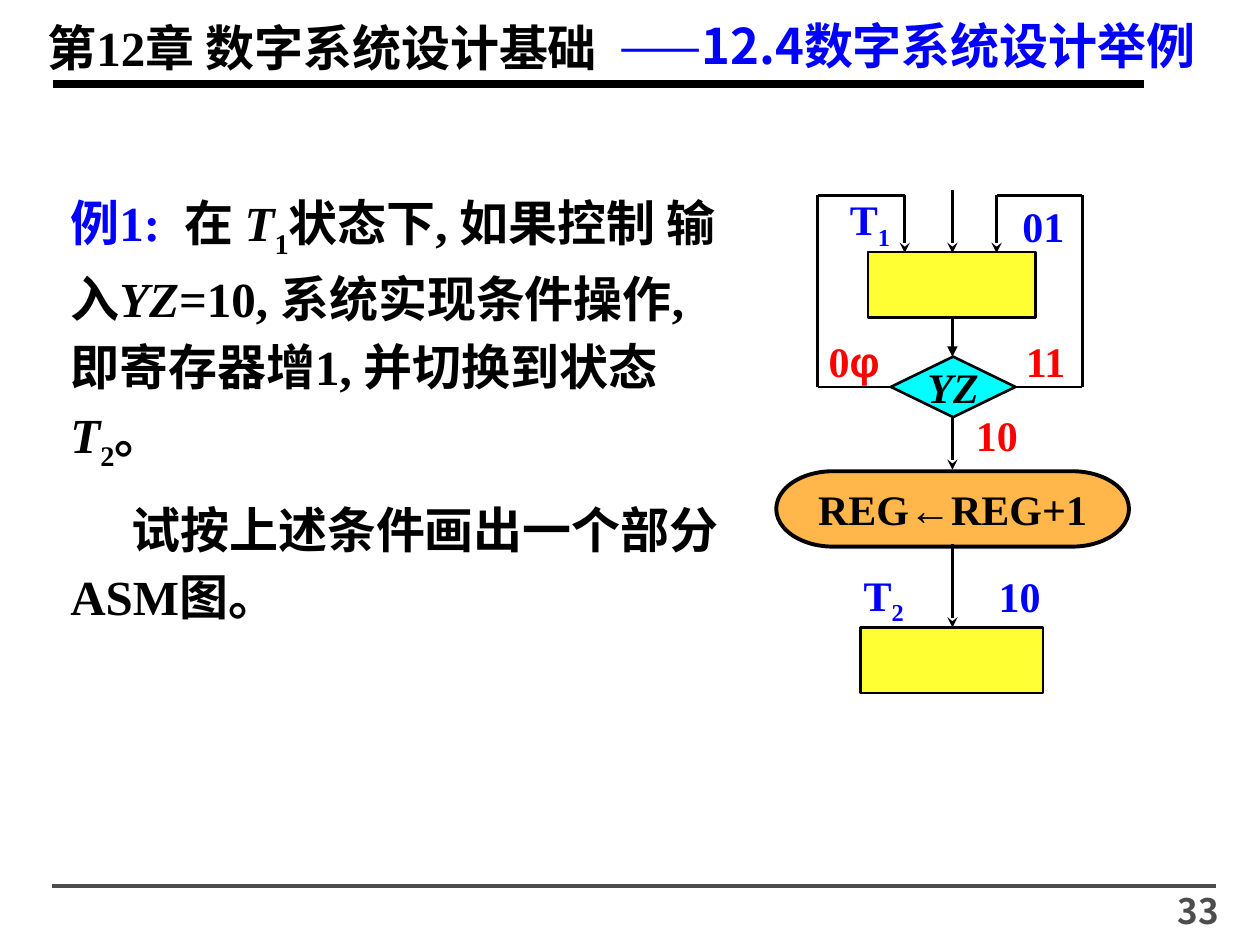
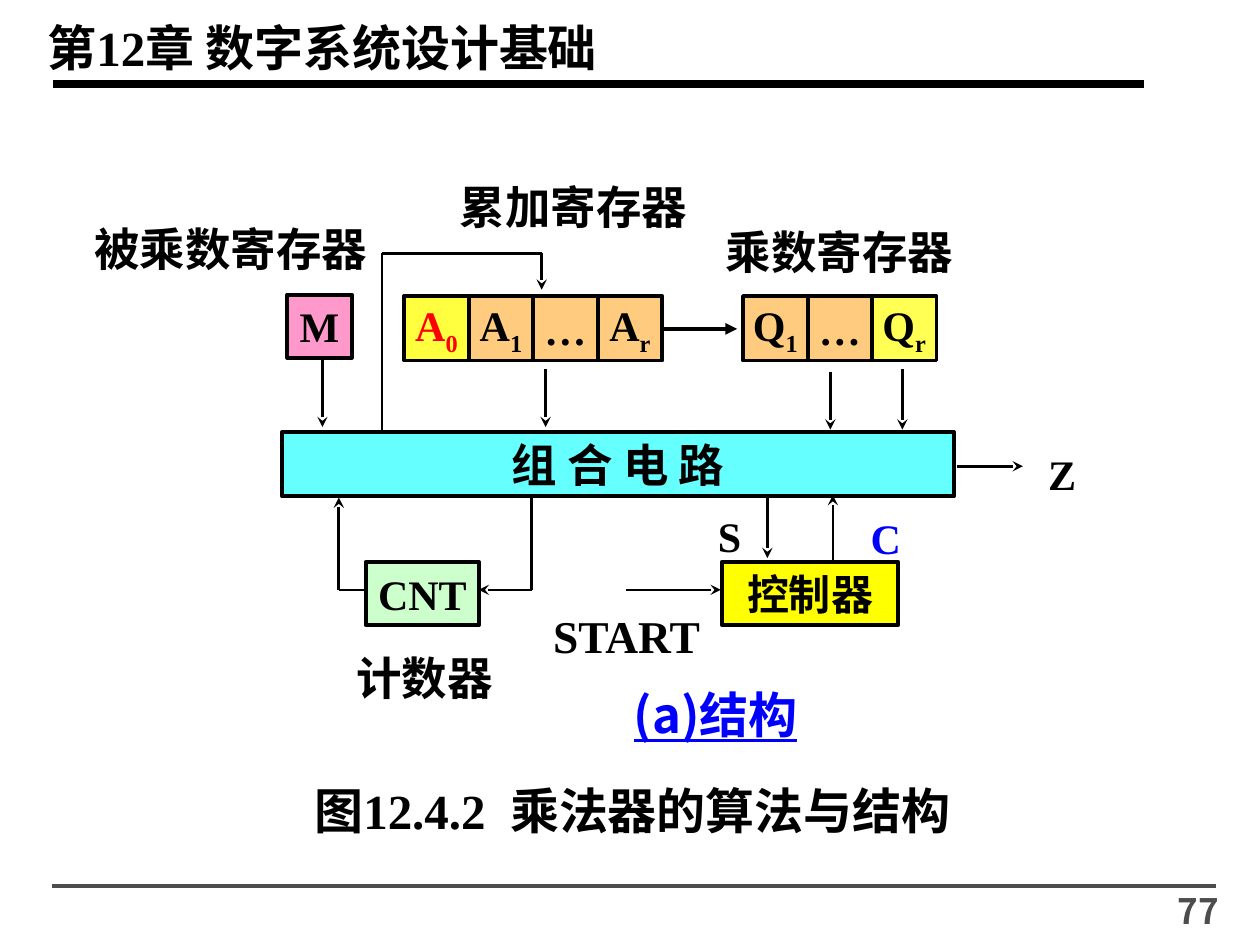
from dataclasses import dataclass, replace
from itertools import pairwise

from lxml import etree
from pptx import Presentation
from pptx.dml.color import RGBColor
from pptx.enum.shapes import MSO_CONNECTOR, MSO_SHAPE
from pptx.enum.text import MSO_ANCHOR, PP_ALIGN
from pptx.oxml.ns import qn
from pptx.slide import Slide
from pptx.text.text import TextFrame
from pptx.util import Cm, Pt

LEFT, MID, RIGHT = PP_ALIGN.LEFT, PP_ALIGN.CENTER, PP_ALIGN.RIGHT
CENTER = MSO_ANCHOR.MIDDLE
LINE = MSO_CONNECTOR.STRAIGHT
RECT, DIAMOND = MSO_SHAPE.RECTANGLE, MSO_SHAPE.DIAMOND
PILL = MSO_SHAPE.FLOWCHART_TERMINATOR


@dataclass(frozen=True)
class Theme:
    black: str = "000000"
    blue: str = "0000FF"
    red: str = "FF0000"
    gray: str = "4D4D4D"
    yellow: str = "FFFF00"
    orange: str = "FF9900"
    cyan: str = "00FFFF"
    aqua: str = "66FFFF"
    pink: str = "FF99CC"
    mint: str = "CCFFCC"
    serif: str = "Times New Roman"
    sans: str = "Noto Sans CJK SC"
    greek: str = "Arial"
    head: int = 28
    name: int = 26
    mark: int = 24
    page: int = 20
    thin: float = 1.5
    thick: float = 2.25


THEME = Theme()


@dataclass(frozen=True)
class Run:
    text: str
    size: int = THEME.mark
    color: str = THEME.black
    face: str = THEME.serif
    bold: bool = True
    slant: bool = False
    under: bool = False
    low: bool = False
    gap: int = 0


@dataclass(frozen=True)
class Label:
    x: float
    y: float
    w: float
    h: float
    runs: tuple[Run, ...]
    align: PP_ALIGN = LEFT


@dataclass(frozen=True)
class Node:
    x: float
    y: float
    w: float
    h: float
    fill: str
    runs: tuple[Run, ...] = ()
    alpha: int = 100
    kind: MSO_SHAPE = RECT
    edge: float = THEME.thick


@dataclass(frozen=True)
class Wire:
    dots: tuple[tuple[float, float], ...]
    tip: str = "stealth"
    width: float = THEME.thin
    color: str = THEME.black


def sub(base: str, low: str, color: str = THEME.black) -> tuple[Run, ...]:
    run = Run(base, color=color)
    return run, replace(run, text=low, low=True)


def write(frame: TextFrame, runs: tuple[Run, ...], align: PP_ALIGN, more: bool = False):
    para = frame.add_paragraph() if more else frame.paragraphs[0]
    para.alignment = align
    for item in runs:
        run = para.add_run()
        run.text = item.text
        font = run.font
        font.size, font.name = Pt(item.size), item.face
        font.bold, font.italic, font.underline = item.bold, item.slant, item.under
        font.color.rgb = RGBColor.from_string(item.color)
        props = font._element
        etree.SubElement(props, qn("a:ea")).set("typeface", THEME.sans)
        if item.low:
            props.set("baseline", "-25000")
        if item.gap:
            props.set("spc", str(item.gap * 100))
    return para


def put_label(slide: Slide, label: Label) -> TextFrame:
    box = slide.shapes.add_textbox(Cm(label.x), Cm(label.y), Cm(label.w), Cm(label.h))
    frame = box.text_frame
    frame.word_wrap = True
    write(frame, label.runs, label.align)
    return frame


def put_node(slide: Slide, node: Node) -> None:
    shape = slide.shapes.add_shape(node.kind, Cm(node.x), Cm(node.y), Cm(node.w), Cm(node.h))
    shape.shadow.inherit = False
    shape.fill.solid()
    shape.fill.fore_color.rgb = RGBColor.from_string(node.fill)
    if node.alpha < 100:
        color = shape._element.spPr.find(qn("a:solidFill"))[0]
        etree.SubElement(color, qn("a:alpha")).set("val", str(node.alpha * 1000))
    shape.line.color.rgb = RGBColor.from_string(THEME.black)
    shape.line.width = Pt(node.edge)
    if node.runs:
        frame = shape.text_frame
        frame.word_wrap = False
        frame.vertical_anchor = CENTER
        write(frame, node.runs, MID)


def put_wire(slide: Slide, wire: Wire) -> None:
    for start, end in pairwise(wire.dots):
        line = slide.shapes.add_connector(LINE, *map(Cm, start + end))
        line.line.color.rgb = RGBColor.from_string(wire.color)
        line.line.width = Pt(wire.width)
        props = line._element.spPr
        if wire.tip and end == wire.dots[-1]:
            etree.SubElement(props.find(qn("a:ln")), qn("a:tailEnd")).set("type", wire.tip)
        etree.SubElement(props, qn("a:effectLst"))


def draw(slide: Slide, nodes: list[Node], wires: list[Wire], labels: list[Label]) -> None:
    for node in nodes:
        put_node(slide, node)
    for wire in wires:
        put_wire(slide, wire)
    for label in labels:
        put_label(slide, label)


def add_page(deck: Presentation, page: str) -> Slide:
    slide = deck.slides.add_slide(deck.slide_layouts[6])
    rules = [
        Wire(((1.07, 1.7), (23.06, 1.7)), "", 4.5),
        Wire(((1.04, 17.86), (24.51, 17.86)), "", 2, THEME.gray),
    ]
    labels = [
        Label(0.71, 0.23, 15.85, 1.45, (Run("第12章 数字系统设计基础", THEME.head),)),
        Label(21.29, 17.81, 3.53, 0.99, (Run(page, THEME.page, THEME.gray, THEME.sans),), RIGHT),
    ]
    draw(slide, [], rules, labels)
    return slide


def add_task(slide: Slide) -> None:
    body = Run("", THEME.head)
    var = replace(body, slant=True)
    low = replace(body, low=True)
    first = (
        replace(body, text="例1:", color=THEME.blue),
        replace(body, text=" ", gap=7),
        replace(body, text="在 "),
        replace(var, text="T"),
        replace(low, text="1"),
        replace(body, text="状态下, 如果控制 输入"),
        replace(var, text="YZ"),
        replace(body, text="=10, 系统实现条件操作, 即寄存器增1, 并切换到状态 "),
        replace(var, text="T"),
        replace(low, text="2"),
        replace(body, text="。"),
    )
    frame = put_label(slide, Label(1.17, 3.56, 13.79, 9.19, first))
    last = write(frame, (replace(body, text="试按上述条件画出一个部分ASM图。"),), LEFT, True)
    last.space_before = Pt(10.5)
    last._p.get_or_add_pPr().set("indent", str(Cm(1.23)))
    for para in frame.paragraphs:
        para.line_spacing = 1.15


def add_flow(slide: Slide) -> None:
    axis, turn = 19.2, 7.8
    nodes = [
        Node(17.5, 5.08, 3.38, 1.32, THEME.yellow, alpha=80, edge=THEME.thin),
        Node(17.96, 7.19, 2.51, 1.22, THEME.cyan, (Run("YZ", slant=True),),
             kind=DIAMOND, edge=THEME.thin),
        Node(15.65, 9.5, 7.11, 1.52, THEME.orange, (Run("REG←REG+1"),), 70, PILL),
        Node(17.35, 12.65, 3.68, 1.32, THEME.yellow, alpha=80, edge=THEME.thin),
    ]
    wires = [
        Wire(((axis, 3.84), (axis, 5.1))),
        Wire(((axis, 6.38), (axis, 7.19)), "triangle"),
        Wire(((axis, 8.43), (axis, 9.47))),
        Wire(((axis, 10.97), (axis, 12.65))),
        Wire(((20.47, turn), (21.82, turn), (21.82, 3.94), (20.09, 3.94), (20.09, 5.1))),
        Wire(((17.96, turn), (16.48, turn), (16.48, 3.94), (18.24, 3.94), (18.24, 5.1))),
    ]
    zero = Run("0", color=THEME.red)
    marks = [
        (16.46, 3.78, 2.16, sub("T", "1", THEME.blue)),
        (16.94, 11.35, 1.75, sub("T", "2", THEME.blue)),
        (20.07, 3.91, 1.93, (Run("01", color=THEME.blue),)),
        (20.09, 6.63, 1.98, (Run("11", color=THEME.red),)),
        (19.41, 8.13, 1.37, (Run("10", color=THEME.red),)),
        (16.33, 6.63, 1.78, (zero, replace(zero, text="φ", face=THEME.greek))),
        (19.41, 11.38, 2.29, (Run("10", color=THEME.blue),)),
    ]
    draw(slide, nodes, wires, [Label(x, y, w, 1.27, runs, MID) for x, y, w, runs in marks])


def add_cells(slide: Slide) -> None:
    side = 1.3
    dots = (Run("…"),)
    gold, pale = THEME.yellow, THEME.orange
    rows = [
        (8.15, [(sub("A", "0", THEME.red), gold, 75), (sub("A", "1"), pale, 50),
                (dots, pale, 50), (sub("A", "r"), pale, 50)]),
        (14.98, [(sub("Q", "1"), pale, 50), (dots, pale, 50), (sub("Q", "r"), gold, 67)]),
    ]
    for left, cells in rows:
        for spot, (runs, fill, alpha) in enumerate(cells):
            put_node(slide, Node(left + spot * side, 5.97, side, side, fill, runs, alpha))


def add_plan(slide: Slide) -> None:
    low = 11.89
    nodes = [
        Node(5.79, 5.94, 1.3, 1.27, THEME.pink, (Run("M"),)),
        Node(5.69, 8.71, 13.54, 1.3, THEME.aqua, (Run("组 合 电 路", THEME.name, face=THEME.sans),)),
        Node(7.37, 11.33, 2.29, 1.27, THEME.mint, (Run("CNT"),)),
        Node(14.55, 11.33, 3.56, 1.27, THEME.yellow, (Run("控制器"),)),
    ]
    wires = [
        Wire(((10.72, 10.03), (10.72, low), (9.65, low))),
        Wire(((7.37, low), (6.83, low), (6.83, 10.03))),
        Wire(((15.47, 10.03), (15.47, 11.25))),
        Wire(((16.79, 11.28), (16.79, 9.98))),
        Wire(((12.62, low), (14.53, low))),
        Wire(((18.19, 7.44), (18.19, 8.66))),
        Wire(((16.74, 7.49), (16.74, 8.66))),
        Wire(((11, 7.44), (11, 8.61))),
        Wire(((6.5, 7.26), (6.5, 8.61))),
        Wire(((7.7, 8.74), (7.7, 5.11), (10.92, 5.11), (10.92, 5.84))),
        Wire(((19.3, 9.4), (20.62, 9.4))),
        Wire(((13.39, 6.63), (14.86, 6.63)), "triangle", THEME.thick),
    ]
    marks = [
        (14.22, 10.16, 1.04, "S", THEME.black),
        (17.3, 10.21, 0.97, "C", THEME.blue),
        (20.88, 8.92, 1.09, "Z", THEME.black),
    ]
    names = [
        (10.9, 12.14, 4.09, "START"),
        (14.38, 4.39, 6.1, "乘数寄存器"),
        (1.65, 4.34, 6.07, "被乘数寄存器"),
        (9.02, 3.48, 5.54, "累加寄存器"),
        (6.93, 12.98, 3.48, "计数器"),
    ]
    part = Run("(a)结构", THEME.head, THEME.blue, THEME.sans, under=True)
    title = Run("图12.4.2", THEME.head)
    title_runs = (title, replace(title, text=" ", gap=7), replace(title, text="乘法器的算法与结构"))
    labels = [Label(x, y, w, 1.27, (Run(text, color=color),)) for x, y, w, text, color in marks]
    labels += [Label(x, y, w, 1.37, (Run(text, THEME.name),)) for x, y, w, text in names]
    labels += [
        Label(11.56, 13.67, 5.74, 1.45, (part,), MID),
        Label(4.14, 15.6, 17.22, 1.45, title_runs, MID),
    ]
    draw(slide, nodes, wires, labels)


def main() -> None:
    deck = Presentation()
    deck.slide_width, deck.slide_height = Cm(25.4), Cm(19.05)
    slide = add_page(deck, "33")
    dash = Run("——", THEME.head, THEME.blue, THEME.sans, False)
    topic = replace(dash, text="12.4数字系统设计举例", bold=True)
    put_label(slide, Label(12.24, 0.18, 12.75, 1.45, (dash, topic)))
    add_task(slide)
    add_flow(slide)
    slide = add_page(deck, "77")
    add_cells(slide)
    add_plan(slide)
    deck.save("out.pptx")


if __name__ == "__main__":
    main()
